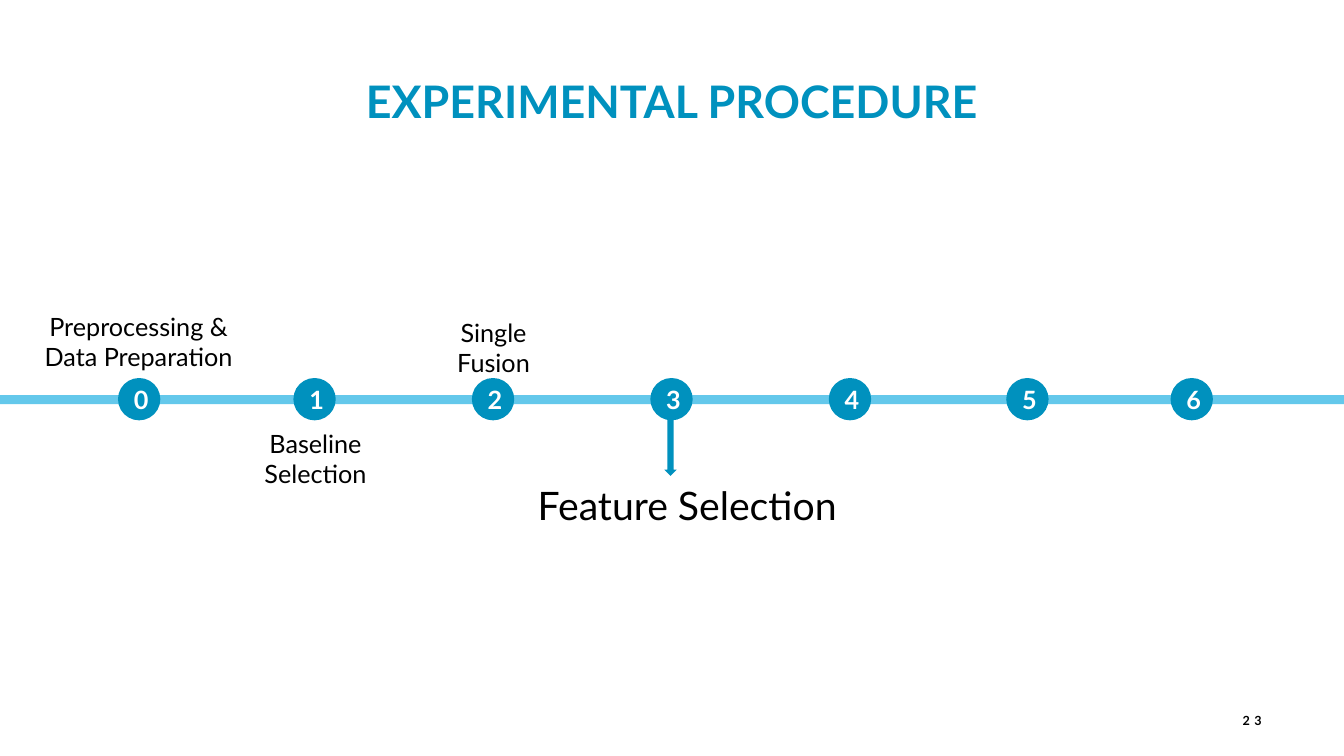
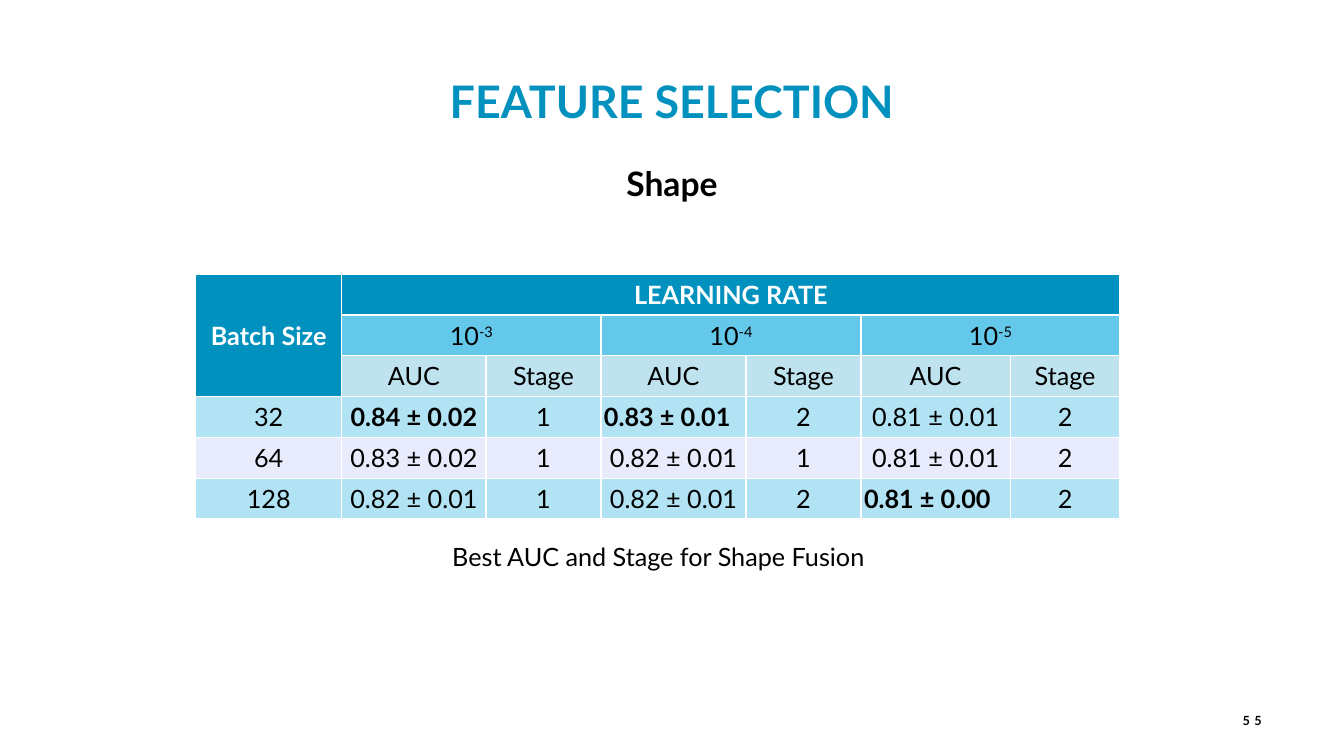
from lxml import etree
from pptx import Presentation
from pptx.dml.color import RGBColor
from pptx.enum import shapes, text
from pptx.oxml.ns import qn
from pptx.util import Inches, Pt

BLUE = RGBColor(0x00, 0x91, 0xBE)
SKY = RGBColor(0x64, 0xC8, 0xEB)
LAVENDER = RGBColor(0xE8, 0xEB, 0xFB)
BLACK = RGBColor(0, 0, 0)
WHITE = RGBColor(255, 255, 255)
FONT = "Lato"
SLIDE_WIDTH = 13.33

CENTER, LEFT, RIGHT = text.PP_ALIGN.CENTER, text.PP_ALIGN.LEFT, text.PP_ALIGN.RIGHT
TOP, MIDDLE = text.MSO_ANCHOR.TOP, text.MSO_ANCHOR.MIDDLE


def write(frame, content, size=18, color=BLACK, bold=False, align=CENTER,
          anchor=TOP, spacing=None, superscript=""):
    """Fill a text frame, one paragraph a line; superscript follows the last line."""
    frame.word_wrap = True
    frame.vertical_anchor = anchor
    for index, line in enumerate(content.split("\n")):
        para = frame.add_paragraph() if index else frame.paragraphs[0]
        para.alignment = align
        font = para.font
        font.name, font.size, font.bold = FONT, Pt(size), bold
        font.color.rgb = color
        span = para.add_run()
        span.text = line
        style_span(span, size, color, bold, spacing)
    if superscript:
        span = para.add_run()
        span.text = superscript
        style_span(span, size, color, bold, spacing)
        span.font._element.set("baseline", "30000")


def style_span(span, size, color, bold, spacing):
    font = span.font
    font.name, font.size, font.bold = FONT, Pt(size), bold
    font.color.rgb = color
    if spacing:
        font._element.set("spc", str(spacing * 100))


def set_borders(cell, color=WHITE, width=1):
    properties = cell._tc.get_or_add_tcPr()
    for side in ("lnL", "lnR", "lnT", "lnB"):
        line = etree.SubElement(properties, qn(f"a:{side}"), w=str(Pt(width)))
        fill = etree.SubElement(line, qn("a:solidFill"))
        etree.SubElement(fill, qn("a:srgbClr"), val=str(color))


def set_cell_fill(cell, color, opacity=100):
    cell.fill.solid()
    cell.fill.fore_color.rgb = color
    if opacity < 100:
        tint = cell._tc.tcPr.find(f"{qn('a:solidFill')}/{qn('a:srgbClr')}")
        etree.SubElement(tint, qn("a:alpha"), val=str(opacity * 1000))


class SlideBuilder:
    def __init__(self):
        self.deck = Presentation()
        self.deck.slide_width = Inches(SLIDE_WIDTH)
        self.deck.slide_height = Inches(7.5)
        self.page = None

    def start_page(self, title, number):
        self.page = self.deck.slides.add_slide(self.deck.slide_layouts[5])
        holder = self.page.shapes.title
        holder.left, holder.top = Inches(0), Inches(0.68)
        holder.width, holder.height = Inches(SLIDE_WIDTH), Inches(0.64)
        holder.text_frame.auto_size = text.MSO_AUTO_SIZE.NONE
        write(holder.text_frame, title, size=32, color=BLUE, bold=True)
        self.label(number, 11.82, 6.95, 0.79, 0.4, size=9, bold=True,
                   align=RIGHT, anchor=MIDDLE, spacing=3)

    def label(self, content, left, top, width, height, **style):
        box = self.page.shapes.add_textbox(
            Inches(left), Inches(top), Inches(width), Inches(height))
        write(box.text_frame, content, **style)

    def shape(self, kind, left, top, width, height, fill):
        shape = self.page.shapes.add_shape(
            kind, Inches(left), Inches(top), Inches(width), Inches(height))
        shape.shadow.inherit = False
        shape.fill.solid()
        shape.fill.fore_color.rgb = fill
        shape.line.fill.background()
        return shape

    def milestone(self, content, left):
        circle = self.shape(shapes.MSO_SHAPE.OVAL, left, 3.75, 0.42, 0.42, BLUE)
        frame = circle.text_frame
        frame.margin_left, frame.margin_right = Inches(0.04), Inches(0)
        frame.margin_top = frame.margin_bottom = Inches(0)
        write(frame, content, color=WHITE, bold=True, anchor=MIDDLE)

    def table(self, left, top, widths, row_count, row_height):
        frame = self.page.shapes.add_table(
            row_count, len(widths), Inches(left), Inches(top),
            Inches(sum(widths)), Inches(row_height * row_count))
        table = frame.table
        table.first_row = table.horz_banding = False
        for column, width in zip(table.columns, widths):
            column.width = Inches(width)
        for row in table.rows:
            row.height = Inches(row_height)
        for cell in table.iter_cells():
            set_borders(cell)
        return table

    def cell(self, cell, content, fill, opacity=100, tight=False, **style):
        set_cell_fill(cell, fill, opacity)
        if tight:
            cell.margin_left = cell.margin_right = Inches(0.03)
            cell.margin_top = cell.margin_bottom = Inches(0.02)
        # A cell wraps by itself, so only its anchor is set outside the text.
        cell.vertical_anchor = MIDDLE
        write(cell.text_frame, content, anchor=None, **style)


def build_procedure(builder):
    builder.start_page("EXPERIMENTAL PROCEDURE", "23")
    builder.label("Baseline Selection", 2.06, 4.2, 2.14, 0.71)
    builder.label("Preprocessing & Data Preparation", 0.21, 3.04, 2.33, 0.71)
    builder.shape(shapes.MSO_SHAPE.RECTANGLE, 0, 3.92, SLIDE_WIDTH, 0.09, SKY)
    for number, left in enumerate((1.17, 2.91, 4.68, 6.45, 8.22, 9.98, 11.61)):
        builder.milestone(str(number), left)
    builder.label("Single\nFusion", 3.72, 3.1, 2.35, 0.71)
    builder.label("Feature Selection", 3.29, 4.73, 7.05, 0.57, size=28)
    builder.shape(shapes.MSO_SHAPE.DOWN_ARROW, 6.59, 4.14, 0.12, 0.58, BLUE)


def build_results(builder):
    builder.start_page("FEATURE SELECTION", "55")
    builder.label("Shape", 0, 1.57, SLIDE_WIDTH, 0.5, size=24, bold=True)

    table = builder.table(1.94, 2.72, (1.45, 1.43, 1.14, 1.44, 1.14, 1.48, 1.09), 6, 0.405)
    table.cell(0, 0).merge(table.cell(2, 0))
    table.cell(0, 1).merge(table.cell(0, 6))
    for column, heading in enumerate(("Batch Size", "LEARNING RATE")):
        builder.cell(table.cell(0, column), heading, BLUE, color=WHITE, bold=True)
    for column, exponent in zip((1, 3, 5), ("-3", "-4", "-5")):
        table.cell(1, column).merge(table.cell(1, column + 1))
        builder.cell(table.cell(1, column), "10", SKY, superscript=exponent)
        for offset, heading in enumerate(("AUC", "Stage")):
            builder.cell(table.cell(2, column + offset), heading, BLUE, opacity=25)

    results = (
        ("32", "0.84 ± 0.02", "1", "0.83 ± 0.01", "2", "0.81 ± 0.01", "2"),
        ("64", "0.83 ± 0.02", "1", "0.82 ± 0.01", "1", "0.81 ± 0.01", "2"),
        ("128", "0.82 ± 0.01", "1", "0.82 ± 0.01", "2", "0.81 ± 0.00", "2"),
    )
    best = {(3, 1): CENTER, (3, 3): LEFT, (5, 5): LEFT}
    for row, values in enumerate(results, start=3):
        fill, opacity = (LAVENDER, 100) if row == 4 else (SKY, 50)
        for column, value in enumerate(values):
            place = (row, column)
            builder.cell(table.cell(row, column), value, fill, opacity,
                         tight=column > 0, bold=place in best,
                         align=best.get(place, CENTER))

    builder.label("Best AUC and Stage for Shape Fusion", 1.94, 5.32, 9.18, 0.4)


def main():
    builder = SlideBuilder()
    build_procedure(builder)
    build_results(builder)
    builder.deck.save("out.pptx")


if __name__ == "__main__":
    main()
